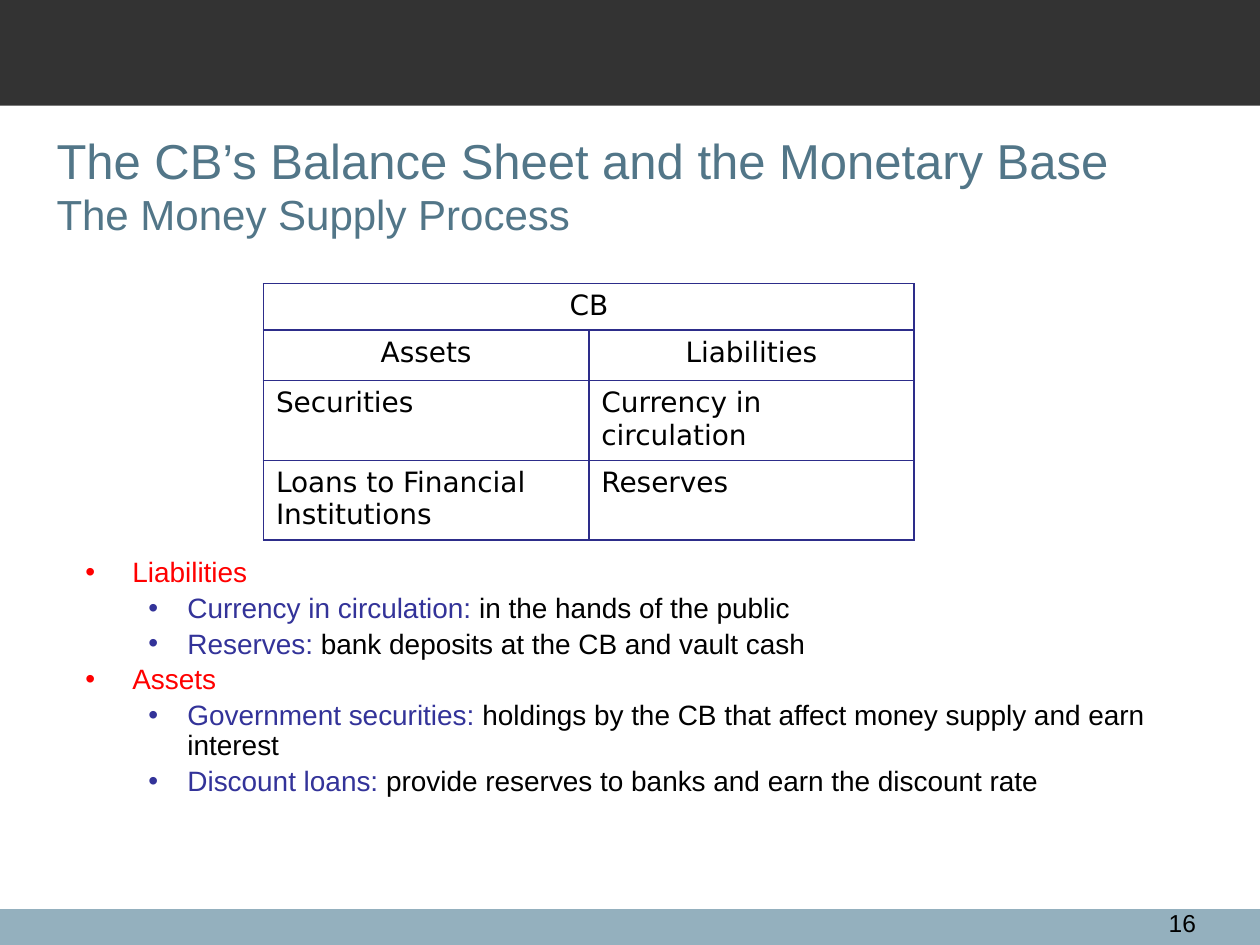
from lxml.etree import SubElement
from pptx import Presentation
from pptx.dml.color import RGBColor
from pptx.enum.shapes import MSO_SHAPE
from pptx.enum.text import MSO_ANCHOR, PP_ALIGN
from pptx.oxml.ns import qn
from pptx.util import Cm, Pt

TITLE = [("The CB’s Balance Sheet and the Monetary Base", 28),
         ("The Money Supply Process", 24)]
BALANCE_SHEET = [
    ("CB", ""),
    ("Assets", "Liabilities"),
    ("Securities", "Currency in circulation"),
    ("Loans to Financial Institutions", "Reserves"),
]
ROW_HEIGHTS = [0.93, 1.02, 1.55, 1.55]
HEADER_ROWS = 2
BULLETS = [
    ("Liabilities", [
        ("Currency in circulation:", " in the hands of the public"),
        ("Reserves:", " bank deposits at the CB and vault cash"),
    ]),
    ("Assets", [
        ("Government securities:",
         " holdings by the CB that affect money supply and earn interest"),
        ("Discount loans:", " provide reserves to banks and earn the discount rate"),
    ]),
]
BARS = [(18.33, 0.72, "94B0BE"), (0, 2.13, "333333")]
INDENTS = [(0.95, -0.95), (2.06, -0.79)]
BLACK, RED, BLUE, TEAL, BORDER = "000000", "FF0000", "333399", "527688", "2D2D8A"


def color(value):
    return RGBColor.from_string(value)


def style(span, size, value, font="Arial"):
    span.font.name = font
    span.font.size = Pt(size)
    span.font.color.rgb = color(value)
    span.font.bold = False


def add_box(page, left, top, width, height, wrap=True):
    box = page.shapes.add_textbox(Cm(left), Cm(top), Cm(width), Cm(height))
    box.text_frame.word_wrap = wrap
    return box.text_frame


def add_bars(page):
    for top, height, fill in BARS:
        bar = page.shapes.add_shape(MSO_SHAPE.RECTANGLE, 0, Cm(top), Cm(25.4), Cm(height))
        bar.shadow.inherit = False
        bar.fill.solid()
        bar.fill.fore_color.rgb = color(fill)
        bar.line.fill.background()


def add_title(page):
    frame = add_box(page, 0.89, 2.34, 23.8, 2.77)
    frame.vertical_anchor = MSO_ANCHOR.MIDDLE
    para = frame.paragraphs[0]
    para.text = "\v".join(text for text, size in TITLE)
    for span, (text, size) in zip(para.runs, TITLE):
        style(span, size, TEAL)


def set_borders(cell):
    properties = cell._tc.get_or_add_tcPr()
    for side in ("a:lnL", "a:lnR", "a:lnT", "a:lnB"):
        line = SubElement(properties, qn(side), w=str(Pt(1)))
        fill = SubElement(line, qn("a:solidFill"))
        SubElement(fill, qn("a:srgbClr"), val=BORDER)


def add_balance_sheet(page):
    table = page.shapes.add_table(len(BALANCE_SHEET), 2, Cm(5.31), Cm(5.72),
                                  Cm(13.12), Cm(sum(ROW_HEIGHTS))).table
    table.first_row = table.horz_banding = False
    for column in table.columns:
        column.width = Cm(6.56)
    for row, (texts, height) in enumerate(zip(BALANCE_SHEET, ROW_HEIGHTS)):
        table.rows[row].height = Cm(height)
        for column, text in enumerate(texts):
            cell = table.cell(row, column)
            set_borders(cell)
            cell.fill.background()
            cell.text_frame.text = text
            para = cell.text_frame.paragraphs[0]
            para.alignment = PP_ALIGN.CENTER if row < HEADER_ROWS else PP_ALIGN.LEFT
            for span in para.runs:
                style(span, 16, BLACK, "DejaVu Sans")
    table.cell(0, 0).merge(table.cell(0, 1))


def add_bullet(para, level, parts):
    para.level = level
    para.line_spacing = 0.9
    para.space_before = Pt(3.2)
    margin, indent = INDENTS[level]
    properties = para._p.get_or_add_pPr()
    properties.set("marL", str(Cm(margin)))
    properties.set("indent", str(Cm(indent)))
    SubElement(properties, qn("a:buFont"), typeface="Arial")
    SubElement(properties, qn("a:buChar"), char="•")
    for text, value in parts:
        span = para.add_run()
        span.text = text
        style(span, 16, value)


def add_bullets(page):
    frame = add_box(page, 1.47, 11.13, 21.97, 6.22)
    lines = []
    for heading, items in BULLETS:
        lines.append((0, [(heading, RED)]))
        lines += [(1, [(term, BLUE), (meaning, BLACK)]) for term, meaning in items]
    for index, (level, parts) in enumerate(lines):
        para = frame.add_paragraph() if index else frame.paragraphs[0]
        add_bullet(para, level, parts)


def add_page_number(page):
    frame = add_box(page, 23.29, 18.19, 1.07, 0.86, wrap=False)
    para = frame.paragraphs[0]
    para.text = "16"
    para.alignment = PP_ALIGN.RIGHT
    style(para.runs[0], 14, BLACK)


def main():
    deck = Presentation()
    deck.slide_width, deck.slide_height = Cm(25.4), Cm(19.05)
    page = deck.slides.add_slide(deck.slide_layouts[6])
    add_bars(page)
    add_bullets(page)
    add_balance_sheet(page)
    add_title(page)
    add_page_number(page)
    deck.save("out.pptx")


if __name__ == "__main__":
    main()
